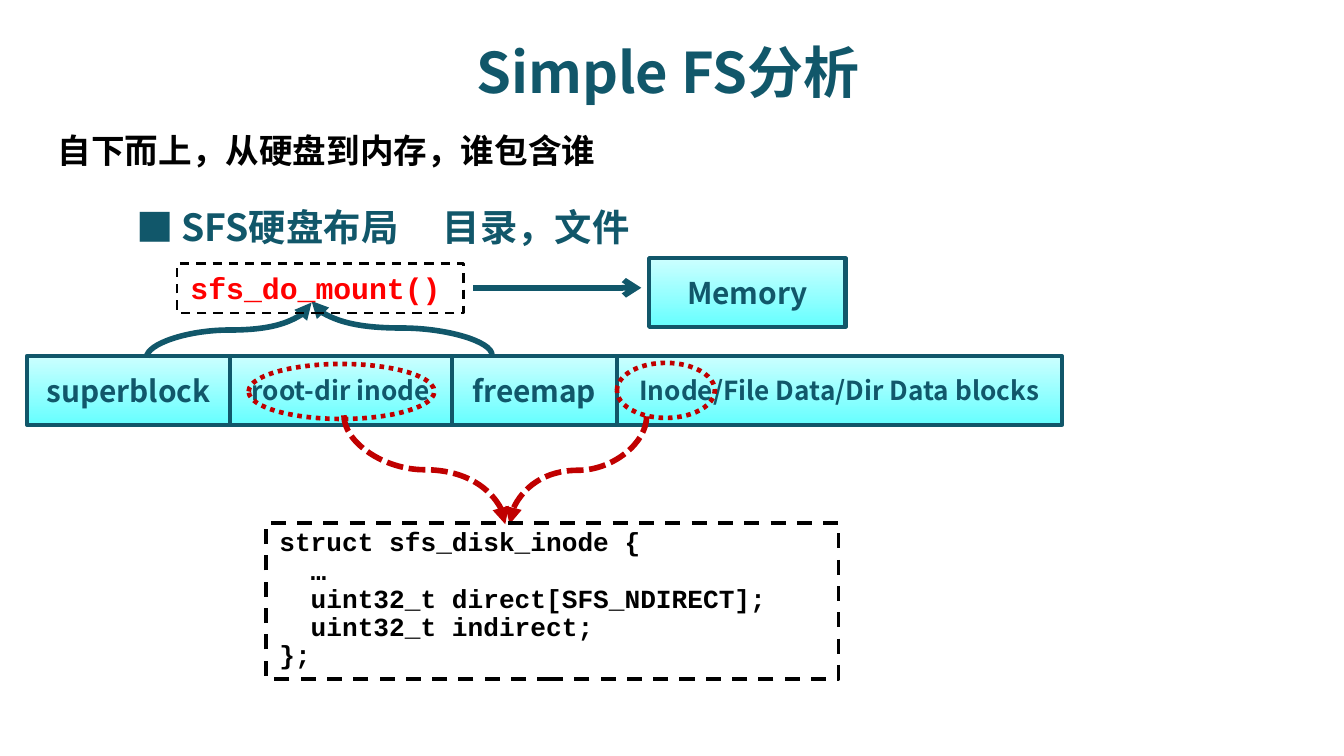
from lxml import etree
from pptx import Presentation
from pptx.dml.color import RGBColor
from pptx.enum.dml import MSO_LINE
from pptx.enum.shapes import MSO_CONNECTOR, MSO_SHAPE
from pptx.enum.text import MSO_ANCHOR, PP_ALIGN
from pptx.oxml.ns import qn
from pptx.util import Cm, Pt

RECTANGLE, OVAL = MSO_SHAPE.RECTANGLE, MSO_SHAPE.OVAL
STRAIGHT, CURVE = MSO_CONNECTOR.STRAIGHT, MSO_CONNECTOR.CURVE
DASH, DOTS, SHORT_DASH = MSO_LINE.DASH, MSO_LINE.ROUND_DOT, MSO_LINE.SQUARE_DOT
LEFT, CENTER = PP_ALIGN.LEFT, PP_ALIGN.CENTER
TOP, MIDDLE = MSO_ANCHOR.TOP, MSO_ANCHOR.MIDDLE

COLORS = {
    "teal": "11576A", "black": "000000", "red": "FF0000", "dark red": "C00000",
    "light cyan": "CCFFFF", "cyan": "66FFFF",
}
SANS, SANS_JP, MONO = "Noto Sans CJK SC", "Noto Sans CJK JP", "Courier New"

# Boxes are left, top, width, height in centimetres.
TITLE = ("Simple FS分析", (1.19, 0.64, 22.86, 1.42))
LABELS = [  # text, box, font, size, color
    ("SFS硬盘布局\t目录，文件", (3.18, 3.86, 9.12, 1.19), SANS, 20, "teal"),
    ("■", (2.34, 3.86, 1.19, 1.12), SANS_JP, 20, "teal"),
    ("自下而上，从硬盘到内存，谁包含谁", (0.84, 2.46, 11.23, 1.02), SANS_JP, 18, "black"),
]
HEADING_TAB = 4.94
DISK_LEFT, DISK_TOP, BLOCK_HEIGHT = 0.51, 6.73, 1.3
DISK_BLOCKS = [  # text, width, size
    ("superblock", 3.84, 16),
    ("root-dir inode", 4.19, 14),
    ("freemap", 3.12, 16),
    ("Inode/File Data/Dir Data blocks", 8.41, 14),
]
MEMORY = ("Memory", (12.27, 4.88, 3.71, BLOCK_HEIGHT), 16)
INODE_MARKS = [(4.7, 6.88, 3.51, 1.04), (11.66, 6.86, 1.85, 1.04)]
STRUCT = [
    "struct sfs_disk_inode {",
    "  …",
    "  uint32_t direct[SFS_NDIRECT];",
    "  uint32_t indirect;",
    "};",
]
CODE_BOXES = [  # lines, box, size, color, line width, line spacing
    (STRUCT, (5.03, 9.88, 10.82, 2.95), 14, "black", 2, 0.9),
    (["sfs_do_mount()"], (3.35, 4.98, 5.41, 0.94), 16, "red", 1.25, 1.0),
]
MEMORY_ARROW = ((8.94, 5.44), (12.12, 5.44))
CURVES = [  # start, end, color, dash
    ((2.77, 6.76), (5.89, 5.72), "teal", None),
    ((9.3, 6.71), (5.89, 5.69), "teal", None),
    ((6.5, 7.85), (9.55, 9.91), "dark red", SHORT_DASH),
    ((12.22, 7.87), (9.63, 9.91), "dark red", SHORT_DASH),
]


def rgb(color):
    return RGBColor.from_string(COLORS[color])


def centimetres(values):
    return [Cm(value) for value in values]


def write(shape, lines, font, size, color, align=LEFT, spacing=1.0, **frame_format):
    frame = shape.text_frame
    for name, value in {"word_wrap": False, "vertical_anchor": TOP, **frame_format}.items():
        setattr(frame, name, value)
    for index, line in enumerate(lines):
        paragraph = frame.add_paragraph() if index else frame.paragraphs[0]
        paragraph.alignment = align
        paragraph.line_spacing = spacing
        paragraph.space_before = Pt(0)
        run = paragraph.add_run()
        run.text = line
        run.font.color.rgb = rgb(color)
        for name, value in {"name": font, "size": Pt(size), "bold": True}.items():
            setattr(run.font, name, value)
        east_asian = etree.SubElement(run._r.get_or_add_rPr(), qn("a:ea"))
        east_asian.set("typeface", font)


def style_line(line, color, width, dash=None):
    line.color.rgb = rgb(color)
    line.width = Pt(width)
    if dash is not None:
        line.dash_style = dash


def add_outline(slide, preset, box, color, width, dash):
    shape = slide.shapes.add_shape(preset, *centimetres(box))
    shape.shadow.inherit = False
    shape.fill.background()
    style_line(shape.line, color, width, dash)
    return shape


def add_block(slide, text, box, size):
    block = add_outline(slide, RECTANGLE, box, "teal", 2.25, None)
    block.fill.gradient()
    block.fill.gradient_angle = 270
    for stop, color in zip(block.fill.gradient_stops, ("light cyan", "cyan")):
        stop.color.rgb = rgb(color)
    write(block, [text], SANS, size, "teal", CENTER, vertical_anchor=MIDDLE)


def add_arrow(slide, kind, start, end, color, head, dash=None):
    connector = slide.shapes.add_connector(kind, *centimetres(start + end))
    style_line(connector.line, color, 3, dash)
    etree.SubElement(connector.line._get_or_add_ln(), qn("a:tailEnd")).set("type", head)
    etree.SubElement(connector._element.spPr, qn("a:effectLst"))
    return connector


def add_vertical_curve(slide, start, end, color, dash):
    """Draw a curve that leaves and arrives vertically: a sideways one turned by 90 degrees."""
    (x1, y1), (x2, y2) = start, end
    middle_x, middle_y = (x1 + x2) / 2, (y1 + y2) / 2
    half_x, half_y = (x2 - x1) / 2, (y2 - y1) / 2
    connector = add_arrow(
        slide, CURVE, (middle_x - half_y, middle_y + half_x),
        (middle_x + half_y, middle_y - half_x), color, "triangle", dash)
    connector._element.spPr.find(qn("a:xfrm")).set("rot", str(90 * 60000))


def main():
    presentation = Presentation()
    presentation.slide_width, presentation.slide_height = Cm(25.4), Cm(14.29)
    slide = presentation.slides.add_slide(presentation.slide_layouts[5])

    text, box = TITLE
    title = slide.shapes.title
    title.left, title.top, title.width, title.height = centimetres(box)
    write(title, [text], SANS, 30, "teal", CENTER, vertical_anchor=MIDDLE)

    for text, box, font, size, color in LABELS:
        label = slide.shapes.add_textbox(*centimetres(box))
        if "\t" in text:
            properties = label.text_frame.paragraphs[0]._p.get_or_add_pPr()
            tabs = etree.SubElement(properties, qn("a:tabLst"))
            etree.SubElement(tabs, qn("a:tab"), pos=str(Cm(HEADING_TAB)), algn="l")
        write(label, [text], font, size, color, margin_top=0)

    left = DISK_LEFT
    for text, width, size in DISK_BLOCKS:
        add_block(slide, text, (left, DISK_TOP, width, BLOCK_HEIGHT), size)
        left += width
    add_block(slide, *MEMORY)

    for box in INODE_MARKS:
        add_outline(slide, OVAL, box, "dark red", 2.5, DOTS)

    add_arrow(slide, STRAIGHT, *MEMORY_ARROW, "teal", "arrow")
    for curve in CURVES:
        add_vertical_curve(slide, *curve)

    for lines, box, size, color, width, spacing in CODE_BOXES:
        code_box = add_outline(slide, RECTANGLE, box, "black", width, DASH)
        write(code_box, lines, MONO, size, color, spacing=spacing)

    presentation.save("out.pptx")


if __name__ == "__main__":
    main()
